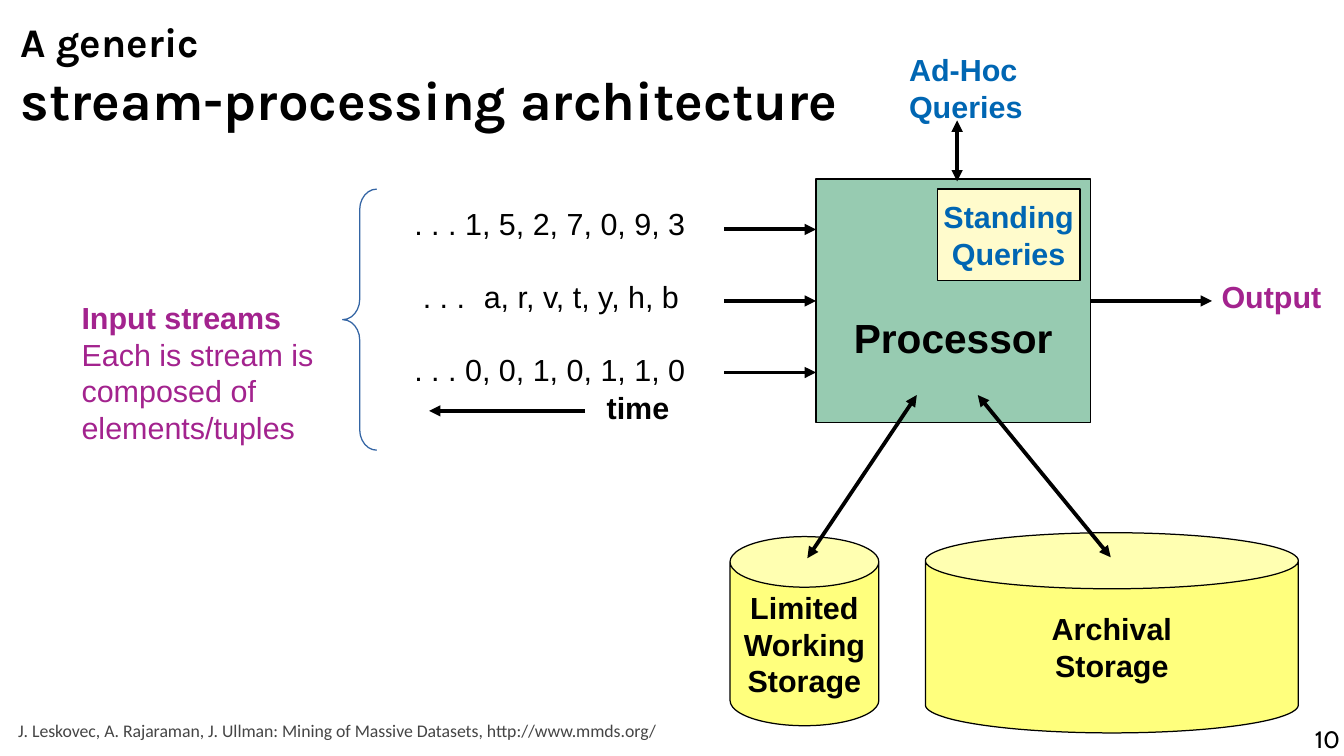
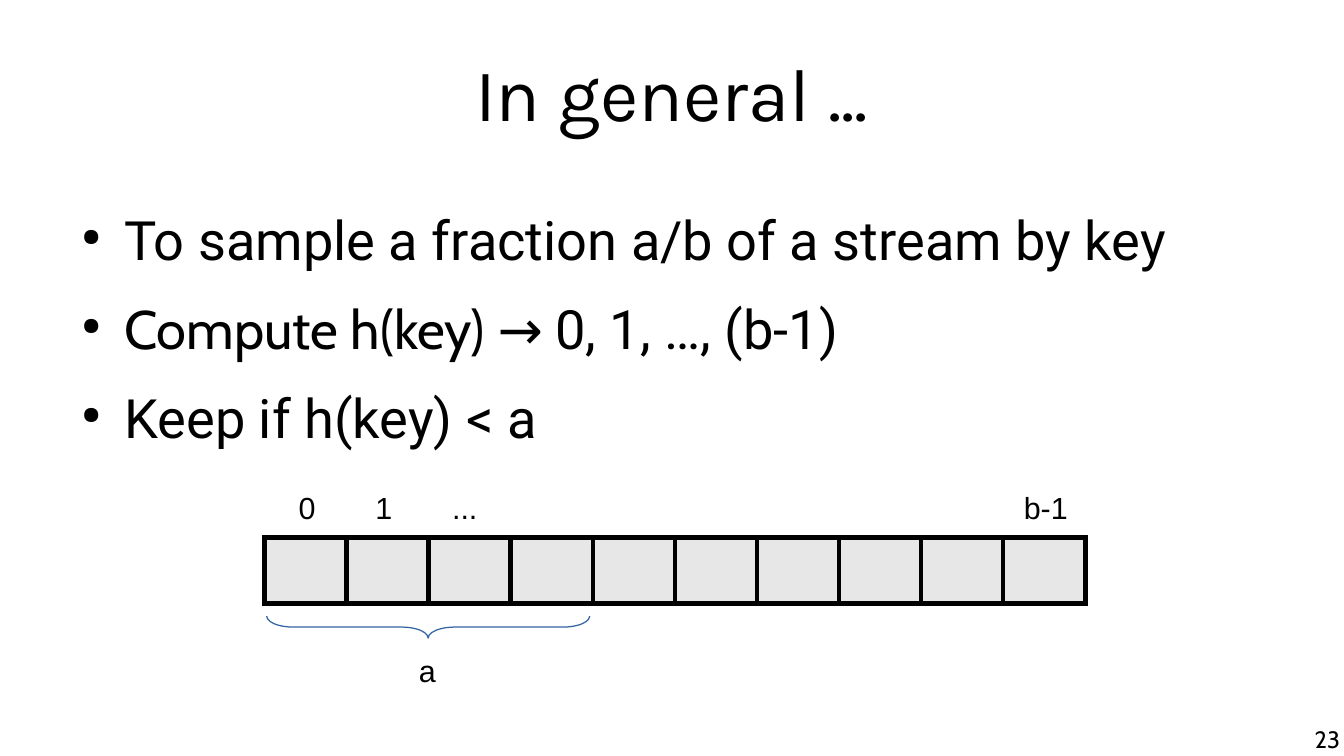
from dataclasses import dataclass

from lxml import etree
from pptx import Presentation
from pptx.dml.color import RGBColor
from pptx.enum.shapes import MSO_CONNECTOR, MSO_SHAPE
from pptx.enum.text import MSO_ANCHOR, PP_ALIGN
from pptx.oxml.ns import qn
from pptx.util import Cm, Pt

LEFT, CENTER, RIGHT = PP_ALIGN.LEFT, PP_ALIGN.CENTER, PP_ALIGN.RIGHT
TOP, MIDDLE = MSO_ANCHOR.TOP, MSO_ANCHOR.MIDDLE
RECTANGLE, CAN = MSO_SHAPE.RECTANGLE, MSO_SHAPE.CAN
LEFT_BRACE, RIGHT_BRACE = MSO_SHAPE.LEFT_BRACE, MSO_SHAPE.RIGHT_BRACE
STRAIGHT = MSO_CONNECTOR.STRAIGHT
LEFT_SIDE, RIGHT_SIDE = 1, 3
NO_INSET = (0, 0, 0, 0)
INSET = (0.25, 0.13, 0.25, 0.13)


@dataclass(frozen=True)
class Theme:
    black: str = "000000"
    grey: str = "454545"
    blue: str = "0066B3"
    purple: str = "A3238E"
    green: str = "339966"
    yellow: str = "FFFF00"
    cream: str = "FFFBCC"
    cell: str = "E7E7E7"
    brace: str = "3465A4"
    label_font: str = "Arial"
    title_font: str = "Karla"
    body_font: str = "Roboto"
    number_font: str = "Cabin"
    source_font: str = "Calibri"
    title_size: float = 44
    heading_size: float = 32
    subheading_size: float = 24
    label_size: float = 18
    number_size: float = 14
    source_size: float = 10.5
    label_line: float = 21.6
    outline: float = 0.75
    arrow: float = 2.25
    cell_border: float = 3


THEME = Theme()


def rgb(color):
    return RGBColor.from_string(color)


def add_xml(parent, tag, **attributes):
    return etree.SubElement(parent, qn(tag), {name: str(value) for name, value in attributes.items()})


def set_indent(para, indent, first=0, bullet=None, tab=None):
    properties = para._p.get_or_add_pPr()
    properties.set("marL", str(Cm(indent)))
    properties.set("indent", str(Cm(first)))
    if bullet:
        add_xml(add_xml(properties, "a:buClr"), "a:srgbClr", val=THEME.black)
        add_xml(properties, "a:buSzPct", val=45000)
        add_xml(properties, "a:buChar", char=bullet)
    if tab:
        add_xml(add_xml(properties, "a:tabLst"), "a:tab", pos=Cm(tab), algn="l")


def write_text(frame, paragraphs, *, size=THEME.label_size, font=THEME.label_font, color=THEME.black,
               bold=False, align=LEFT, anchor=TOP, wrap=True, inset=INSET, line=None, before=0,
               indent=None):
    """Fill a frame; a paragraph is a text or a list of (text, changed format) spans."""
    frame.word_wrap = wrap
    frame.vertical_anchor = anchor
    frame.margin_left, frame.margin_top, frame.margin_right, frame.margin_bottom = map(Cm, inset)
    for index, spans in enumerate(paragraphs):
        para = frame.add_paragraph() if index else frame.paragraphs[0]
        if indent:
            set_indent(para, **indent)
        para.alignment = align
        if line:
            para.line_spacing = Pt(line)
        if index and before:
            para.space_before = Pt(before)
        for text, changes in [(spans, {})] if isinstance(spans, str) else spans:
            style = {"size": size, "font": font, "color": color, "bold": bold, **changes}
            for part, piece in enumerate(text.split("\v")):
                if part:
                    para.add_line_break()
                if not piece:
                    continue
                span = para.add_run()
                span.text = piece
                span.font.size = Pt(style["size"])
                span.font.name = style["font"]
                span.font.bold = style["bold"]
                span.font.color.rgb = rgb(style["color"])


class Page:
    def __init__(self, deck, number):
        self.slide = deck.slides.add_slide(deck.slide_layouts[6])
        self.shapes = self.slide.shapes
        self.text((21.39, 15.11, 6.53, 0.64), [str(number)], size=THEME.number_size,
                  font=THEME.number_font, align=RIGHT, inset=NO_INSET)

    def text(self, place, paragraphs, **style):
        box = self.shapes.add_textbox(*map(Cm, place))
        write_text(box.text_frame, paragraphs, **style)
        return box

    def label(self, place, paragraphs, **style):
        return self.text(place, paragraphs, **{"line": THEME.label_line, **style})

    def title(self, place, paragraphs, **style):
        return self.text(place, paragraphs, font=THEME.title_font, anchor=MIDDLE, inset=NO_INSET, **style)

    def shape(self, kind, place, paragraphs, fill, alpha=None, adjust=None, **style):
        box = self.shapes.add_shape(kind, *map(Cm, place))
        box.shadow.inherit = False
        box.fill.solid()
        box.fill.fore_color.rgb = rgb(fill)
        if alpha:
            color = box.element.spPr.find(".//" + qn("a:srgbClr"))
            add_xml(color, "a:alpha", val=alpha * 1000)
        box.line.color.rgb = rgb(THEME.black)
        box.line.width = Pt(THEME.outline)
        if adjust:
            box.adjustments[0] = adjust
        write_text(box.text_frame, paragraphs, bold=True, align=CENTER, anchor=MIDDLE, wrap=False, **style)
        return box

    def brace(self, kind, place, curve, rotation=0):
        brace = self.shapes.add_shape(kind, *map(Cm, place))
        brace.shadow.inherit = False
        brace.fill.background()
        brace.line.color.rgb = rgb(THEME.brace)
        brace.line.width = Pt(0)
        brace.adjustments[0] = curve
        brace.rotation = rotation

    def arrow(self, start, end, both=False):
        arrow = self.shapes.add_connector(STRAIGHT, *map(Cm, start + end))
        arrow.line.color.rgb = rgb(THEME.black)
        arrow.line.width = Pt(THEME.arrow)
        properties = arrow.element.spPr
        line = properties.find(qn("a:ln"))
        if both:
            add_xml(line, "a:headEnd", type="triangle")
        add_xml(line, "a:tailEnd", type="triangle")
        add_xml(properties, "a:effectLst")
        return arrow

    def cell_row(self, place, count):
        table = self.shapes.add_table(1, count, *map(Cm, place)).table
        table.first_row = table.horz_banding = False
        for column in table.columns:
            column.width = Cm(place[2] / count)
        for cell in table.iter_cells():
            cell.fill.solid()
            cell.fill.fore_color.rgb = rgb(THEME.cell)
            properties = cell._tc.get_or_add_tcPr()
            for index, side in enumerate(("a:lnL", "a:lnR", "a:lnT", "a:lnB")):
                border = add_xml(properties, side, w=Pt(THEME.cell_border))
                add_xml(add_xml(border, "a:solidFill"), "a:srgbClr", val=THEME.black)
                properties.insert(index, border)


def build_architecture(deck):
    page = Page(deck, 10)
    page.title((0.43, 0.15, 17.15, 2.79),
               [[("A generic\v", {"size": THEME.subheading_size}), ("stream-processing architecture", {})]],
               size=THEME.heading_size, bold=True)

    # Processor: the top inset leaves room for the standing queries
    processor = page.shape(RECTANGLE, (17, 3.73, 5.72, 5.08), ["Processor"], THEME.green, alpha=51,
                           size=THEME.subheading_size, inset=(0.25, 1.65, 0.25, 0.13))
    page.shape(RECTANGLE, (19.53, 3.94, 2.97, 1.9), ["Standing", "Queries"], THEME.cream,
               color=THEME.blue, line=THEME.label_line)
    page.label((18.69, 0.94, 2.87, 1.78), ["Ad-Hoc", "Queries"], color=THEME.blue, bold=True, wrap=False)
    page.arrow((19.94, 2.51), (19.94, 3.78), both=True)

    # Input streams
    page.label((1.45, 6.1, 5.77, 3.1),
               [[("Input streams", {"bold": True})], "Each is stream is\vcomposed of\velements/tuples"],
               color=THEME.purple)
    page.brace(LEFT_BRACE, (7.14, 3.94, 0.71, 5.44), 0.6)
    middle, gap = 6.27, 1.49
    streams = [
        (". . . 1, 5, 2, 7, 0, 9, 3", {"align": RIGHT}),
        (". . .\ta, r, v, t, y, h, b", {"indent": {"indent": 0.18, "tab": 1.56}}),
        (". . . 0, 0, 1, 0, 1, 1, 0", {"align": RIGHT}),
    ]
    for row, (stream, style) in enumerate(streams):
        y = middle + (row - 1) * gap
        page.label((8.38, 4.14 + row * 1.52, 6.15, 1.02), [stream], **style)
        arrow = page.arrow((15.09, y), (17, y))
        if y == middle:
            arrow.end_connect(processor, LEFT_SIDE)
    page.label((12.39, 7.98, 1.9, 1.02), ["time"], bold=True)
    page.arrow((12.19, 8.56), (8.94, 8.56))

    # Output
    page.label((25.2, 5.66, 2.59, 1.02), ["Output"], color=THEME.purple, bold=True, wrap=False)
    page.arrow((22.72, middle), (25.25, middle)).begin_connect(processor, RIGHT_SIDE)

    # Storage
    stores = [
        ((15.21, 11.18, 3.1, 3.94), 0.34, ["Limited", "Working", "Storage"], (19.1, 8.23), (16.82, 11.63)),
        ((19.28, 11.1, 7.77, 4.17), 0.28, ["Archival", "Storage"], (20.37, 8.23), (23.14, 11.61)),
    ]
    for place, adjust, name, start, end in stores:
        page.shape(CAN, place, name, THEME.yellow, alpha=51, adjust=adjust, line=THEME.label_line)
        page.arrow(start, end, both=True)

    page.text((0.13, 14.86, 18.75, 0.71),
              ["J. Leskovec, A. Rajaraman, J. Ullman: Mining of Massive Datasets, http://www.mmds.org/"],
              size=THEME.source_size, font=THEME.source_font, color=THEME.grey)


def build_sampling(deck):
    page = Page(deck, 23)
    page.title((1.4, 0.03, 25.2, 3.78), ["In general ..."], size=THEME.title_size, align=CENTER)
    page.text((1.4, 4.29, 25.2, 9.14),
              ["To sample a fraction a/b of a stream by key",
               [("Compute h(key) → ", {"font": THEME.number_font}), ("0, 1, …, (b-1)", {})],
               "Keep if h(key) < a"],
              size=THEME.heading_size, font=THEME.body_font, inset=NO_INSET, before=14.2,
              indent={"indent": 1.19, "first": -0.89, "bullet": "●"})

    # Hash buckets
    page.cell_row((5.51, 11.2, 17.1, 1.37), 10)
    for index, name in enumerate(["0", "1", "..."]):
        page.text((5.97 + index * 1.6, 10.06, 1.6, 0.97), [name])
    page.text((21.08, 10.06, 1.6, 0.97), ["b-1"])
    page.brace(RIGHT_BRACE, (8.69, 9.7, 0.46, 6.73), 1.2, rotation=90)
    page.text((8.48, 13.46, 0.86, 0.97), ["a"])


def main():
    deck = Presentation()
    deck.slide_width, deck.slide_height = Cm(28), Cm(15.75)
    build_architecture(deck)
    build_sampling(deck)
    deck.save("out.pptx")


if __name__ == "__main__":
    main()
